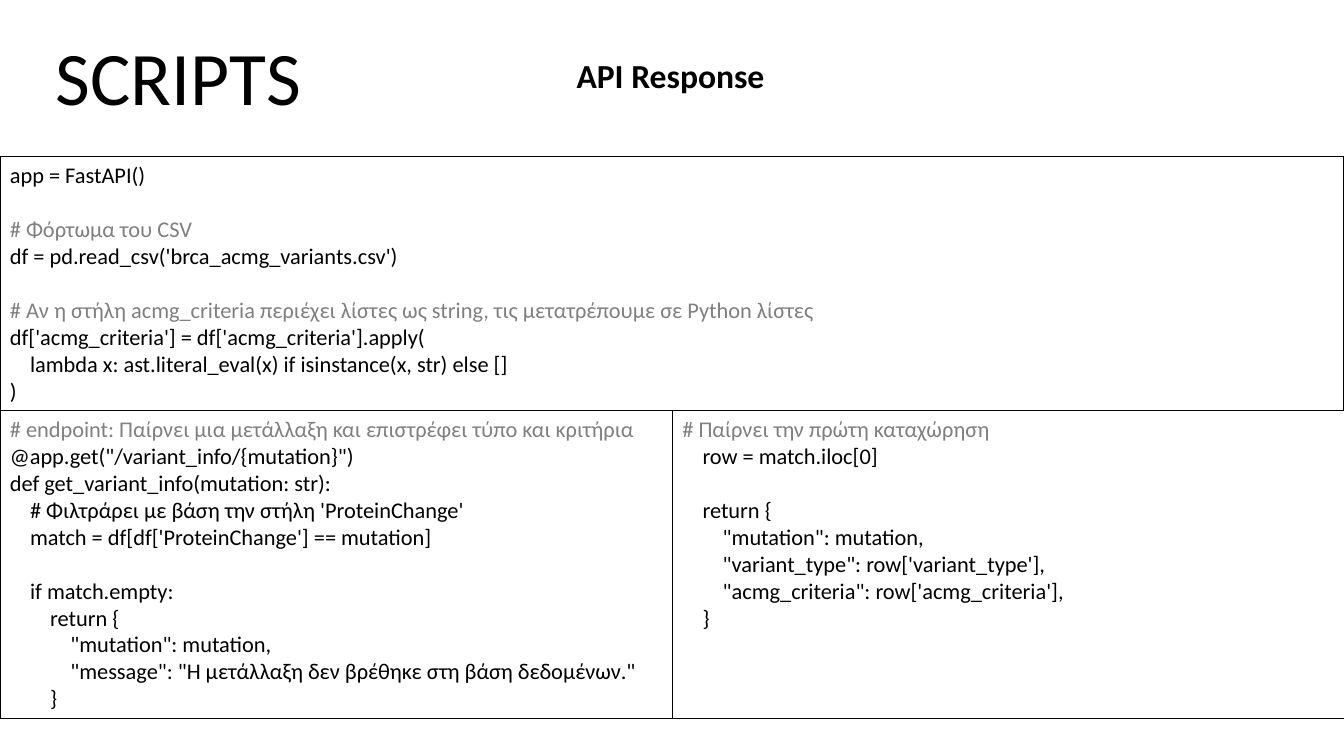
from pptx import Presentation
from pptx.dml.color import RGBColor
from pptx.enum.shapes import MSO_SHAPE
from pptx.enum.text import MSO_ANCHOR, MSO_AUTO_SIZE, PP_ALIGN
from pptx.util import Inches, Pt

RECTANGLE = MSO_SHAPE.RECTANGLE
TOP = MSO_ANCHOR.TOP
NO_AUTOFIT = MSO_AUTO_SIZE.NONE
LEFT, CENTER = PP_ALIGN.LEFT, PP_ALIGN.CENTER

BLACK, WHITE, GREY = "000000", "FFFFFF", "808080"
LINE_HEIGHT = 19.5  # points, one line of 16 pt code
SPACE_WIDTH = 0.05  # inches, one leading space of code

LOADING_CODE = """\
app = FastAPI()

# Φόρτωμα του CSV
df = pd.read_csv('brca_acmg_variants.csv')

# Αν η στήλη acmg_criteria περιέχει λίστες ως string, τις μετατρέπουμε σε Python λίστες
df['acmg_criteria'] = df['acmg_criteria'].apply(
    lambda x: ast.literal_eval(x) if isinstance(x, str) else []
)"""

ENDPOINT_CODE = """\
# endpoint: Παίρνει μια μετάλλαξη και επιστρέφει τύπο και κριτήρια
@app.get("/variant_info/{mutation}")
def get_variant_info(mutation: str):
    # Φιλτράρει με βάση την στήλη 'ProteinChange'
    match = df[df['ProteinChange'] == mutation]

    if match.empty:
        return {
            "mutation": mutation,
            "message": "Η μετάλλαξη δεν βρέθηκε στη βάση δεδομένων."
        }"""

RESULT_CODE = """\
# Παίρνει την πρώτη καταχώρηση
    row = match.iloc[0]

    return {
        "mutation": mutation,
        "variant_type": row['variant_type'],
        "acmg_criteria": row['acmg_criteria'],
    }"""


def color(hex_string):
    return RGBColor.from_string(hex_string)


def write(paragraph, text, size=16, fill=BLACK, bold=False, align=LEFT, indent=0, gap=0):
    paragraph.alignment = align
    paragraph.space_before = Pt(gap)
    properties = paragraph._p.get_or_add_pPr()
    properties.set("marL", str(Inches(indent)))
    properties.set("indent", "0")
    run = paragraph.add_run()
    run.text = text
    run.font.name = "Calibri"
    run.font.size = Pt(size)
    run.font.bold = bold
    run.font.color.rgb = color(fill)


presentation = Presentation()
presentation.slide_width = Inches(13.33)
presentation.slide_height = Inches(7.5)
slide = presentation.slides.add_slide(presentation.slide_layouts[5])

# Title
title = slide.shapes.title
title.left, title.top = Inches(0.44), Inches(0.25)
title.width, title.height = Inches(2.66), Inches(1.01)
title.text_frame.word_wrap = False
title.text_frame.auto_size = NO_AUTOFIT
title.text_frame.vertical_anchor = TOP
write(title.text_frame.paragraphs[0], "SCRIPTS", size=54, align=CENTER)

# Subtitle
subtitle = slide.shapes.add_textbox(Inches(5.62), Inches(0.5), Inches(2.1), Inches(0.5))
subtitle.text_frame.word_wrap = True
write(subtitle.text_frame.paragraphs[0], "API Response", size=24, bold=True)

# Code panels: one across the slide, two halves below it
panels = [
    (0, 1.55, 13.33, 2.52, LOADING_CODE),
    (0, 4.07, 6.67, 3.06, ENDPOINT_CODE),
    (6.67, 4.07, 6.67, 3.06, RESULT_CODE),
]
for left, top, width, height, code in panels:
    panel = slide.shapes.add_shape(
        RECTANGLE, Inches(left), Inches(top), Inches(width), Inches(height))
    panel.shadow.inherit = False
    panel.fill.solid()
    panel.fill.fore_color.rgb = color(WHITE)
    panel.line.color.rgb = color(BLACK)
    panel.line.width = Pt(1)
    frame = panel.text_frame
    frame.word_wrap = True
    frame.vertical_anchor = TOP

    # A blank line becomes space above the next one, leading spaces an indent
    paragraph, gap = frame.paragraphs[0], 0
    for line in code.splitlines():
        if not line:
            gap = LINE_HEIGHT
            continue
        paragraph = paragraph or frame.add_paragraph()
        text = line.lstrip()
        write(paragraph, text, fill=GREY if line.startswith("#") else BLACK,
              indent=SPACE_WIDTH * (len(line) - len(text)), gap=gap)
        paragraph, gap = None, 0

presentation.save("out.pptx")
